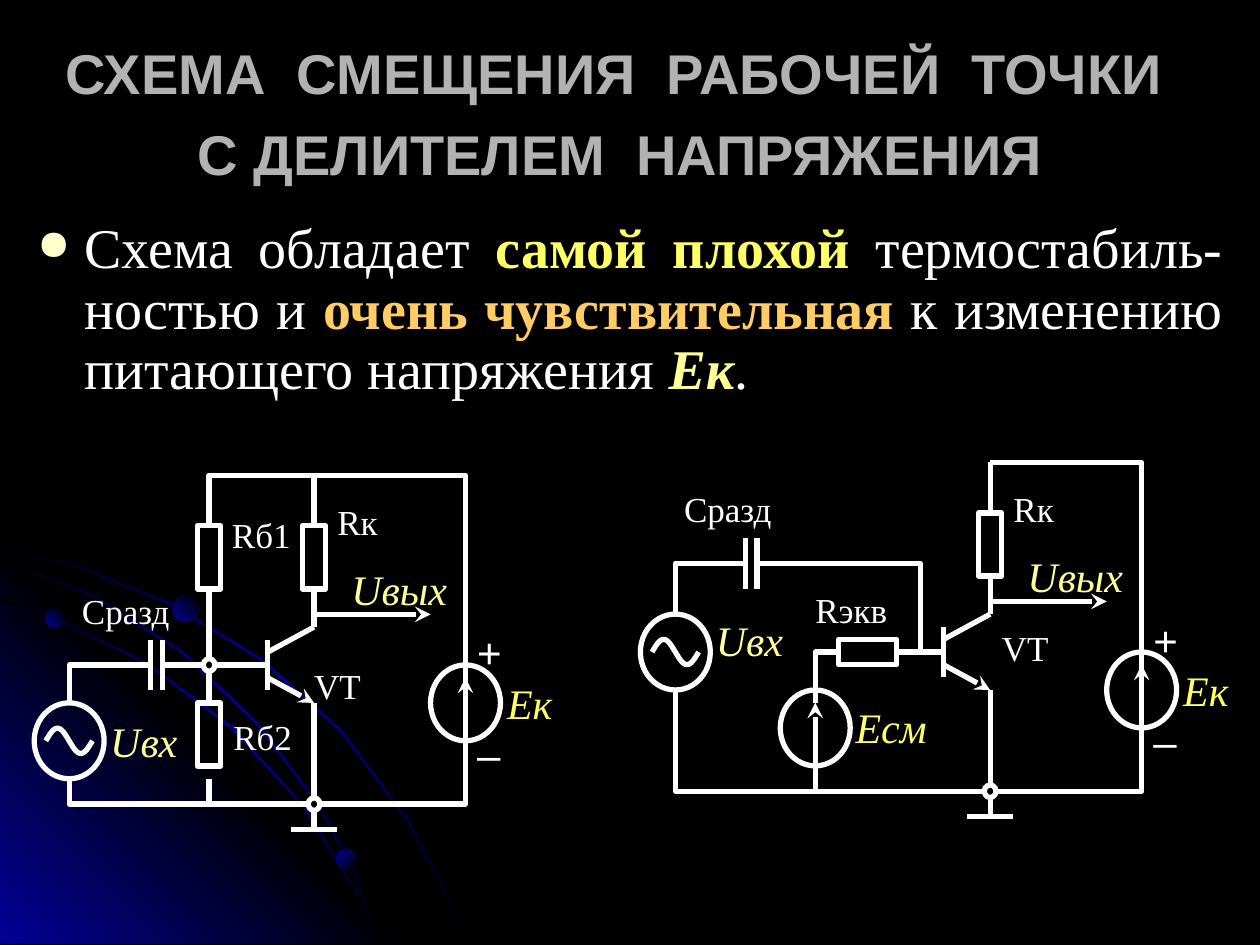
from dataclasses import dataclass
from math import pi, sin
from typing import Any

from lxml.etree import SubElement
from pptx import Presentation
from pptx.dml.color import RGBColor
from pptx.enum.shapes import MSO_CONNECTOR, MSO_SHAPE
from pptx.enum.text import MSO_ANCHOR, PP_ALIGN
from pptx.oxml.ns import qn
from pptx.util import Cm, Pt

HUES = {
    "black": "000000", "white": "FFFFFF", "blue": "010199", "grey": "B2B2B2",
    "cream": "FFFFCC", "lemon": "FFFF66", "pale": "FFFF99", "amber": "FFCC66",
}
SERIF, SANS = "Times New Roman", "Arial"
COL, ROW = 0.235, 0.255
LEFT, MID, RIGHT, FULL = PP_ALIGN.LEFT, PP_ALIGN.CENTER, PP_ALIGN.RIGHT, PP_ALIGN.JUSTIFY


@dataclass
class Grid:
    shapes: Any
    left: float
    top: float

    def spot(self, col, row):
        return Cm(self.left + col * COL), Cm(self.top + row * ROW)


def hue(name):
    return RGBColor.from_string(HUES[name])


def text(shapes, box, runs, size=20, font=SERIF, color="white", bold=False,
         slant=False, align=LEFT, inset=0, middle=False, bullet=None, space=None):
    frame = shapes.add_textbox(*box).text_frame
    frame.word_wrap = True
    frame.margin_left = frame.margin_right = Cm(inset)
    frame.margin_top = frame.margin_bottom = Cm(inset / 2)
    frame.vertical_anchor = MSO_ANCHOR.MIDDLE if middle else MSO_ANCHOR.TOP
    para = frame.paragraphs[0]
    para.alignment = align
    if space:
        para.line_spacing = space
    if bullet:
        add_dot(para, bullet)
    for words, style in [(runs, {})] if isinstance(runs, str) else runs:
        if words == "\n":
            para.add_line_break()
            continue
        run = para.add_run()
        run.text = words
        face = run.font
        face.name = font
        face.size = Pt(style.get("size", size))
        face.bold = style.get("bold", bold)
        face.italic = style.get("slant", slant)
        face.color.rgb = hue(style.get("color", color))


def add_dot(para, color):
    props = para._p.get_or_add_pPr()
    props.set("marL", str(Cm(0.95)))
    props.set("indent", str(Cm(-0.95)))
    SubElement(SubElement(props, qn("a:buClr")), qn("a:srgbClr"), val=HUES[color])
    SubElement(props, qn("a:buSzPct"), val="75000")
    SubElement(props, qn("a:buChar"), char="●")


def blend(shape, names, angle):
    shape.shadow.inherit = False
    shape.line.fill.background()
    shape.fill.gradient()
    shape.fill.gradient_angle = 360 - angle
    stops = next(shape._element.iter(qn("a:gsLst")))
    for stop in list(stops):
        stops.remove(stop)
    for num, name in enumerate(names):
        place = str(num * 100000 // (len(names) - 1))
        stop = SubElement(stops, qn("a:gs"), pos=place)
        SubElement(stop, qn("a:srgbClr"), val=HUES[name])


def ink(shape, fill=None):
    shape.shadow.inherit = False
    if fill:
        shape.fill.solid()
        shape.fill.fore_color.rgb = hue(fill)
    else:
        shape.fill.background()
    shape.line.color.rgb = hue("white")
    shape.line.width = Pt(3)
    return shape


def outline(shapes, points, close=False):
    pen = shapes.build_freeform(*points[0])
    pen.add_line_segments(points[1:], close=close)
    return pen.convert_to_shape()


def wire(grid, *points):
    ink(outline(grid.shapes, [grid.spot(*point) for point in points]))


def line(grid, start, end, arrow=False, first=None, last=None):
    link = grid.shapes.add_connector(
        MSO_CONNECTOR.STRAIGHT, *grid.spot(*start), *grid.spot(*end))
    link.line.color.rgb = hue("white")
    link.line.width = Pt(3)
    if arrow:
        SubElement(link.line._get_or_add_ln(), qn("a:tailEnd"), type="stealth")
    SubElement(link._element.spPr, qn("a:effectLst"))
    if first:
        link.begin_connect(*first)
    if last:
        link.end_connect(*last)


def part(grid, col, row, wide, high, kind=MSO_SHAPE.RECTANGLE, fill=None):
    shape = grid.shapes.add_shape(
        kind, *grid.spot(col, row), Cm(wide * COL), Cm(high * ROW))
    return ink(shape, fill)


def source(grid, col, row):
    part(grid, col - 3, row, 6, 6, MSO_SHAPE.OVAL)


def cell(grid, col, row):
    source(grid, col, row)
    line(grid, (col, row + 6), (col, row + 1), arrow=True)


def wave(grid, col, row):
    source(grid, col, row)
    wire(grid, *[(col - 2 + n / 6, row + 3 - sin(n * pi / 12)) for n in range(25)])


def node(grid, col, row):
    part(grid, col - 0.5, row - 0.5, 1, 1, MSO_SHAPE.OVAL, "black")


def plates(grid, col, row):
    for step in (0, 1):
        line(grid, (col + step, row), (col + step, row + 4))


def label(grid, col, row, wide, words, **style):
    box = *grid.spot(col, row), Cm(wide * COL), Cm(4 * ROW)
    text(grid.shapes, box, words, **style)


def volt(grid, col, row, wide, words, color="pale", align=MID):
    label(grid, col, row, wide, words, size=24, slant=True, color=color, align=align)


def stage(grid):
    load = part(grid, -1, 4, 2, 5)
    line(grid, (0, 4), (0, 0), first=(load, 0))
    line(grid, (0, 9), (0, 12), first=(load, 2))
    line(grid, (-4, 13), (-4, 17))
    line(grid, (-4, 14), (0, 12))
    line(grid, (-4, 16), (0, 18), arrow=True)
    line(grid, (0, 18), (0, 26))
    line(grid, (0, 26), (0, 28))
    line(grid, (-2, 28), (2, 28))
    line(grid, (0, 11), (10, 11), arrow=True)
    cell(grid, 13, 15)
    node(grid, 0, 26)
    label(grid, 2, 2, 4, "Rк")
    volt(grid, 3.2, 7, 9, "Uвых", align=LEFT)
    volt(grid, 16, 16, 5, "Eк", "lemon")
    for row, sign in ((12, "+"), (20, "–")):
        label(grid, 14, row, 4, sign, size=24, font=SANS)


def divider(grid):
    wire(grid, (-9, 4), (-9, 0), (13, 0), (13, 26), (-9, 26), (-9, 24))
    wire(grid, (-21, 24), (-21, 26), (-9, 26))
    wire(grid, (-21, 18), (-21, 15), (-14, 15))
    upper, lower = [part(grid, -10, row, 2, 5) for row in (4, 18)]
    line(grid, (-9, 9), (-9, 18), first=(upper, 2), last=(lower, 0))
    line(grid, (-13, 15), (-4, 15))
    wave(grid, -21, 18)
    plates(grid, -14, 13)
    stage(grid)
    node(grid, -9, 15)
    label(grid, -21.4, 9, 10.5, "Сразд", align=MID)
    label(grid, -7.8, 3, 5.8, "Rб1", align=RIGHT)
    label(grid, -7.9, 19, 7, "Rб2", align=MID)
    label(grid, 0, 15, 5, "VT")
    volt(grid, -18, 19, 6.8, "Uвх")


def model(grid):
    wire(grid, (-15, 24), (-15, 26), (13, 26), (13, 0), (0, 0))
    wire(grid, (-15, 19), (-15, 15), (-13, 15))
    wire(grid, (-27, 18), (-27, 26), (-15, 26))
    wire(grid, (-27, 12), (-27, 8), (-21, 8))
    wire(grid, (-20, 8), (-6, 8), (-6, 15))
    bias = part(grid, -13, 14, 5, 2)
    line(grid, (-8, 15), (-4, 15), first=(bias, 3))
    cell(grid, -15, 18)
    wave(grid, -27, 12)
    plates(grid, -21, 6)
    stage(grid)
    label(grid, -27, 2, 9, "Сразд", align=MID)
    label(grid, -15, 10, 7, "Rэкв")
    label(grid, 1, 13, 5, "VT")
    volt(grid, -24, 12, 6.7, "Uвх")
    volt(grid, -12, 18.9, 7, "Eсм", "lemon")


def arc(shapes, points):
    last = len(points) - 1
    inner = [(x - 0.05 * n / last, y + 0.06 * (1 - n / last))
             for n, (x, y) in enumerate(points)]
    edge = [(Cm(x), Cm(y)) for x, y in points + inner[::-1]]
    blend(outline(shapes, edge, True), ["black", "blue", "black"], 225)


def backdrop(shapes):
    arc(shapes, [(0, 11.05), (1.45, 11.35), (3.43, 12.14), (5.28, 13.28), (6.88, 14.71),
                 (8.2, 16.48), (8.89, 17.73), (9.45, 19.02)])
    corner = [(Cm(x), Cm(y)) for x, y in ((8.18, 19.02), (0, 19.02), (0, 10.85))]
    blend(outline(shapes, corner, True), ["blue", "black", "blue"], 135)
    arc(shapes, [(0, 12.06), (1.04, 12.4), (2.97, 13.36), (4.67, 14.63), (6.15, 16.26),
                 (7.26, 18.08), (7.7, 19.02)])
    arc(shapes, [(0, 11.23), (1.93, 12.01), (3.66, 13.11), (5.18, 14.55), (6.45, 16.23),
                 (7.16, 17.6), (7.7, 19.02)])
    for left, top, size, angle in ((0.91, 12.27, 0.38, 135), (6.78, 17.12, 0.41, 225),
                                   (3.48, 12.01, 0.53, 135)):
        ball = shapes.add_shape(MSO_SHAPE.OVAL, Cm(left), Cm(top), Cm(size), Cm(size))
        blend(ball, ["black", "blue"], angle)


def main():
    deck = Presentation()
    deck.slide_width, deck.slide_height = Cm(25.4), Cm(19.05)
    slide = deck.slides.add_slide(deck.slide_layouts[6])
    slide.background.fill.solid()
    slide.background.fill.fore_color.rgb = hue("black")
    shapes = slide.shapes
    backdrop(shapes)
    text(shapes, (Cm(0), Cm(0.71), Cm(25.4), Cm(3.18)), [
        ("СХЕМА  СМЕЩЕНИЯ  РАБОЧЕЙ  ТОЧКИ  ", {}), ("\n", {}),
        ("С ДЕЛИТЕЛЕМ  НАПРЯЖЕНИЯ", {}), (" ", {"size": 40, "bold": False}),
    ], size=32, font=SANS, color="grey", bold=True, align=MID, inset=0.25, middle=True)
    text(shapes, (Cm(0.5), Cm(4.32), Cm(24.4), Cm(4.2)), [
        ("Схема обладает ", {}), ("самой плохой", {"color": "lemon", "bold": True}),
        (" термостабиль-ностью и ", {}),
        ("очень чувствительная", {"color": "amber", "bold": True}),
        (" к изменению питающего напряжения ", {}),
        ("Ек", {"color": "pale", "bold": True, "slant": True}), (". ", {}),
    ], size=32, align=FULL, inset=0.25, bullet="cream", space=0.9)
    divider(Grid(shapes, 6.33, 9.58))
    model(Grid(shapes, 19.96, 9.32))
    deck.save("out.pptx")


if __name__ == "__main__":
    main()
